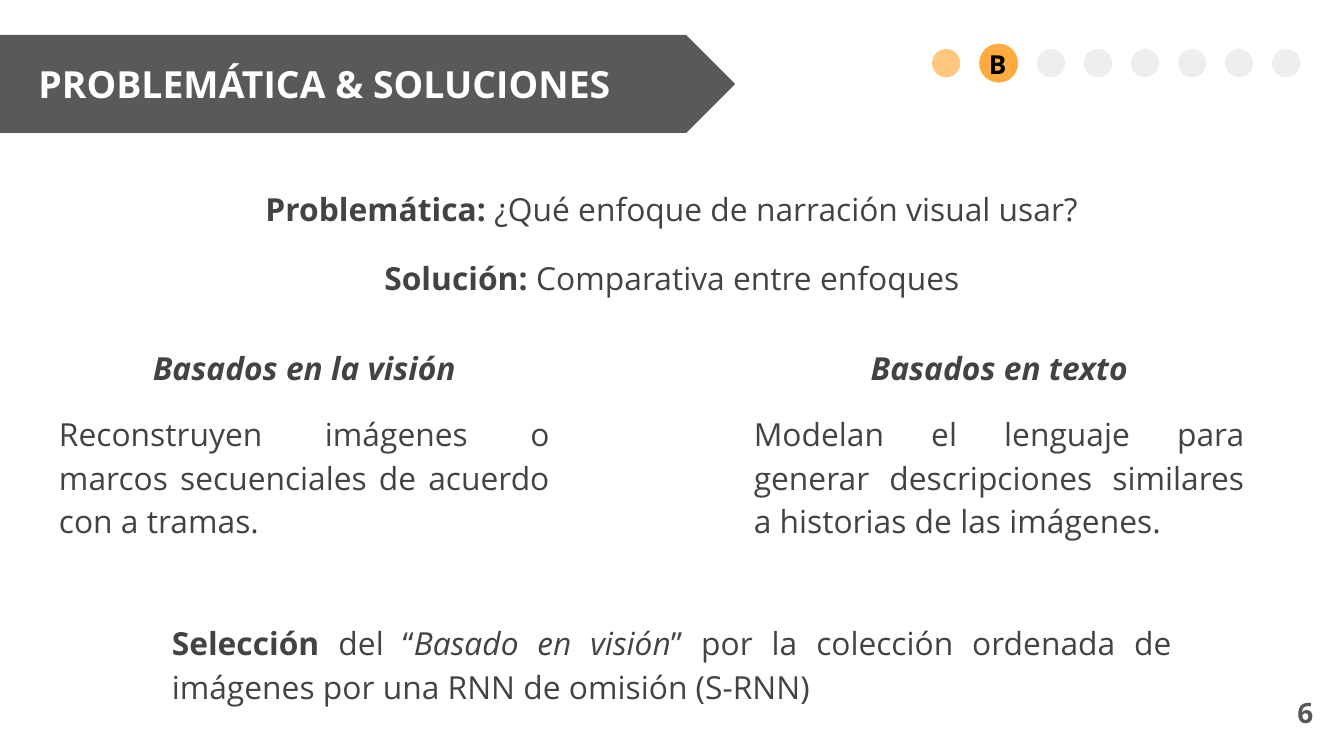
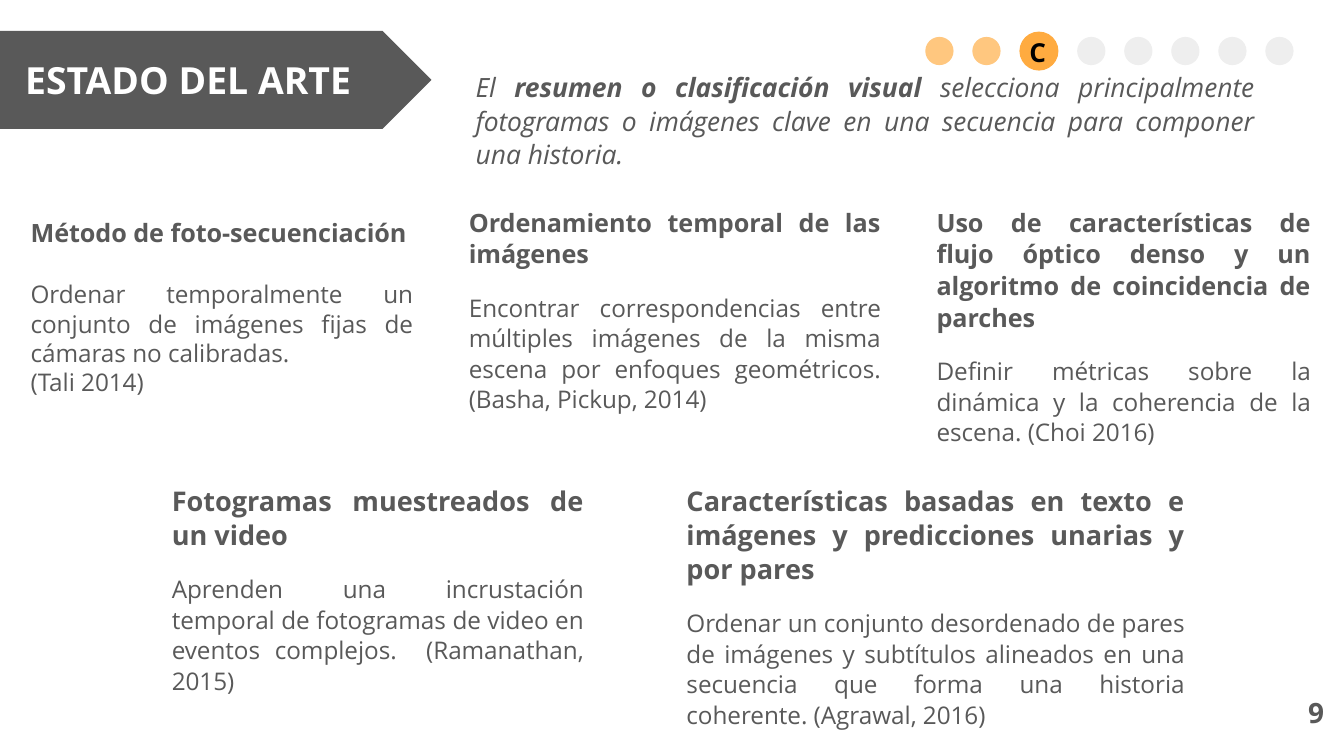
import pptx
import pptx.dml.color
import pptx.enum.shapes
import pptx.enum.text
import pptx.util

PX = 9144  # EMU per px, 100 px to the inch
FONT = "Open Sans"
WHITE = pptx.dml.color.RGBColor(0xFF, 0xFF, 0xFF)
BLACK = pptx.dml.color.RGBColor(0x00, 0x00, 0x00)
GRAY = pptx.dml.color.RGBColor(0x59, 0x59, 0x59)
DARK = pptx.dml.color.RGBColor(0x43, 0x43, 0x43)
DONE = pptx.dml.color.RGBColor(0xFF, 0xC7, 0x7F)
CURRENT = pptx.dml.color.RGBColor(0xFF, 0xAB, 0x40)
PENDING = pptx.dml.color.RGBColor(0xEE, 0xEE, 0xEE)

SHAPE = pptx.enum.shapes.MSO_SHAPE
ALIGN = pptx.enum.text.PP_ALIGN
LEFT, CENTER, RIGHT, JUSTIFY = ALIGN.LEFT, ALIGN.CENTER, ALIGN.RIGHT, ALIGN.JUSTIFY
MIDDLE = pptx.enum.text.MSO_ANCHOR.MIDDLE
TOP = pptx.enum.text.MSO_ANCHOR.TOP
GROW = pptx.enum.text.MSO_AUTO_SIZE.SHAPE_TO_FIT_TEXT

DOT_COUNT, DOT_STEP, DOT_SIZE, CURRENT_SIZE = 8, 35, 20, 28


def write(box, paragraphs, color, anchor=TOP):
    """Fill box with (format values, runs) pairs; a run is (text, style letters b and i)."""
    frame = box.text_frame
    frame.word_wrap = True
    frame.vertical_anchor = anchor
    for side in ("left", "right", "top", "bottom"):
        setattr(frame, f"margin_{side}", 10 * PX)
    for index, (values, runs) in enumerate(paragraphs):
        para = frame.add_paragraph() if index else frame.paragraphs[0]
        size = values["size"]
        for name, value in values.items():
            if name != "size":
                setattr(para, name, value)
        for text, style in runs:
            span = para.add_run()
            span.text = text
            look = {"name": FONT, "size": pptx.util.Pt(size),
                    "bold": "b" in style, "italic": "i" in style}
            for name, value in look.items():
                setattr(span.font, name, value)
            span.font.color.rgb = color


def add_solid(shapes, kind, bounds, color, outlined=False):
    shape = shapes.add_shape(kind, *(value * PX for value in bounds))
    shape.shadow.inherit = False
    shape.fill.solid()
    shape.fill.fore_color.rgb = color
    if outlined:
        shape.line.color.rgb = color
        shape.line.width = pptx.util.Pt(0.75)
    else:
        shape.line.fill.background()
    return shape


heading = {"alignment": CENTER, "line_spacing": 1.15, "size": 17}
detail = {"alignment": JUSTIFY, "line_spacing": 1.15, "size": 17}
spaced_detail = {**detail, "space_before": pptx.util.Pt(12)}
method = {"alignment": JUSTIFY, "line_spacing": 1.05, "size": 13.5}
wide_method = {**method, "size": 14.5}
summary = {**method, "size": 14.2}
finding = {**method, "size": 13, "space_before": pptx.util.Pt(12)}
tight_method = {**method, "line_spacing": 1.0}
tight_finding = {**tight_method, "size": 13, "space_before": pptx.util.Pt(17)}
citation = {**tight_method, "size": 13}

# The first text of each page sits in a box that grows with it
pages = [
    {
        "title": "PROBLEMÁTICA & SOLUCIONES", "banner": (-64, 26, 611, 73),
        "letter": "B", "dots": (694, 37), "number": "6", "number_left": 927,
        "color": DARK,
        "texts": [
            ((34, 127, 932, 49), [
                (heading, [("Problemática:", "b"),
                           (" ¿Qué enfoque de narración visual usar?", "")])]),
            ((34, 178, 932, 49), [
                (heading, [("Solución: ", "b"), ("Comparativa entre enfoques", "")])]),
            ((34, 245, 385, 141), [
                (heading, [("Basados en la visión", "bi")]),
                (spaced_detail, [("Reconstruyen imágenes o marcos secuenciales de "
                                  "acuerdo con a tramas.", "")])]),
            ((551, 245, 385, 152), [
                (heading, [("Basados en texto", "bi")]),
                (spaced_detail, [("Modelan el lenguaje para generar descripciones "
                                  "similares a historias de las imágenes.", "")])]),
            ((118, 450, 764, 83), [
                (detail, [("Selección ", "b"), ("del “", ""), ("Basado en visión", "i"),
                          ("” por la colección ordenada de imágenes por una RNN de "
                           "omisión (S-RNN)", "")])]),
        ],
    },
    {
        "title": "ESTADO DEL ARTE", "banner": (-41, 23, 362, 73),
        "letter": "C", "dots": (689, 28), "number": "9", "number_left": 935,
        "color": GRAY,
        "texts": [
            ((344, 42, 599, 95), [
                (summary, [("El ", "i"), ("resumen o clasificación visual ", "bi"),
                           ("selecciona principalmente fotogramas o imágenes clave en "
                            "una secuencia para componer una historia. ", "i")])]),
            ((13, 152, 304, 150), [
                (tight_method, [("Método de foto-secuenciación", "b")]),
                (tight_finding, [("Ordenar temporalmente un conjunto de imágenes fijas "
                                  "de cámaras no calibradas. ", "")]),
                (citation, [("(Tali 2014)", "")])]),
            ((339, 143, 326, 178), [
                (method, [("Ordenamiento temporal de las imágenes ", "b")]),
                (finding, [("Encontrar correspondencias entre múltiples imágenes de la "
                            "misma escena por enfoques geométricos. "
                            "(Basha, Pickup, 2014) ", "")])]),
            ((687, 143, 298, 189), [
                (method, [("Uso de características de flujo óptico denso y un algoritmo "
                           "de coincidencia de parches ", "b")]),
                (finding, [("Definir métricas sobre la dinámica y la coherencia de la "
                            "escena. (Choi 2016)", "")])]),
            ((118, 349, 326, 165), [
                (wide_method, [("Fotogramas muestreados de un video ", "b")]),
                (finding, [("Aprenden una incrustación temporal de fotogramas de video "
                            "en eventos complejos.  (Ramanathan, 2015)", "")])]),
            ((501, 349, 390, 195), [
                (wide_method, [("Características basadas en texto e imágenes y "
                                "predicciones unarias y por pares ", "b")]),
                (finding, [("Ordenar un conjunto desordenado de pares de imágenes y "
                            "subtítulos alineados en una secuencia que forma una "
                            "historia coherente. (Agrawal, 2016)", "")])]),
        ],
    },
]

deck = pptx.Presentation()
deck.slide_width = 1000 * PX
deck.slide_height = deck.slide_width * 9 // 16

for content in pages:
    page = deck.slides.add_slide(deck.slide_layouts[6])
    page.background.fill.solid()
    page.background.fill.fore_color.rgb = WHITE

    banner = add_solid(page.shapes, SHAPE.CHEVRON, content["banner"], GRAY)
    write(banner, [({"alignment": CENTER, "size": 20}, [(content["title"], "b")])],
          WHITE, MIDDLE)

    for index, (bounds, paragraphs) in enumerate(content["texts"]):
        box = page.shapes.add_textbox(*(value * PX for value in bounds))
        write(box, paragraphs, content["color"])
        if index == 0:
            box.text_frame.auto_size = GROW

    # Progress dots: the current one is larger and carries the section letter
    progress = page.shapes.add_group_shape().shapes
    first_left, top = content["dots"]
    current = "ABCDEFGH".index(content["letter"])
    for index in range(DOT_COUNT):
        left = first_left + index * DOT_STEP
        if index == current:
            continue
        if index > current:
            left += CURRENT_SIZE - DOT_SIZE
        add_solid(progress, SHAPE.OVAL, (left, top, DOT_SIZE, DOT_SIZE),
                  DONE if index < current else PENDING, outlined=True)
    left = first_left + current * DOT_STEP
    add_solid(progress, SHAPE.OVAL, (left, top - 4, CURRENT_SIZE, CURRENT_SIZE),
              CURRENT, outlined=True)
    box = progress.add_textbox((left - 3) * PX, (top - 11) * PX, 32 * PX, 43 * PX)
    write(box, [({"alignment": LEFT, "size": 14}, [(content["letter"], "b")])], BLACK)

    box = page.shapes.add_textbox(content["number_left"] * PX, 510 * PX, 60 * PX, 43 * PX)
    write(box, [({"alignment": RIGHT, "line_spacing": 0.9, "size": 15},
                 [(content["number"], "b")])], GRAY, MIDDLE)

deck.save("out.pptx")
